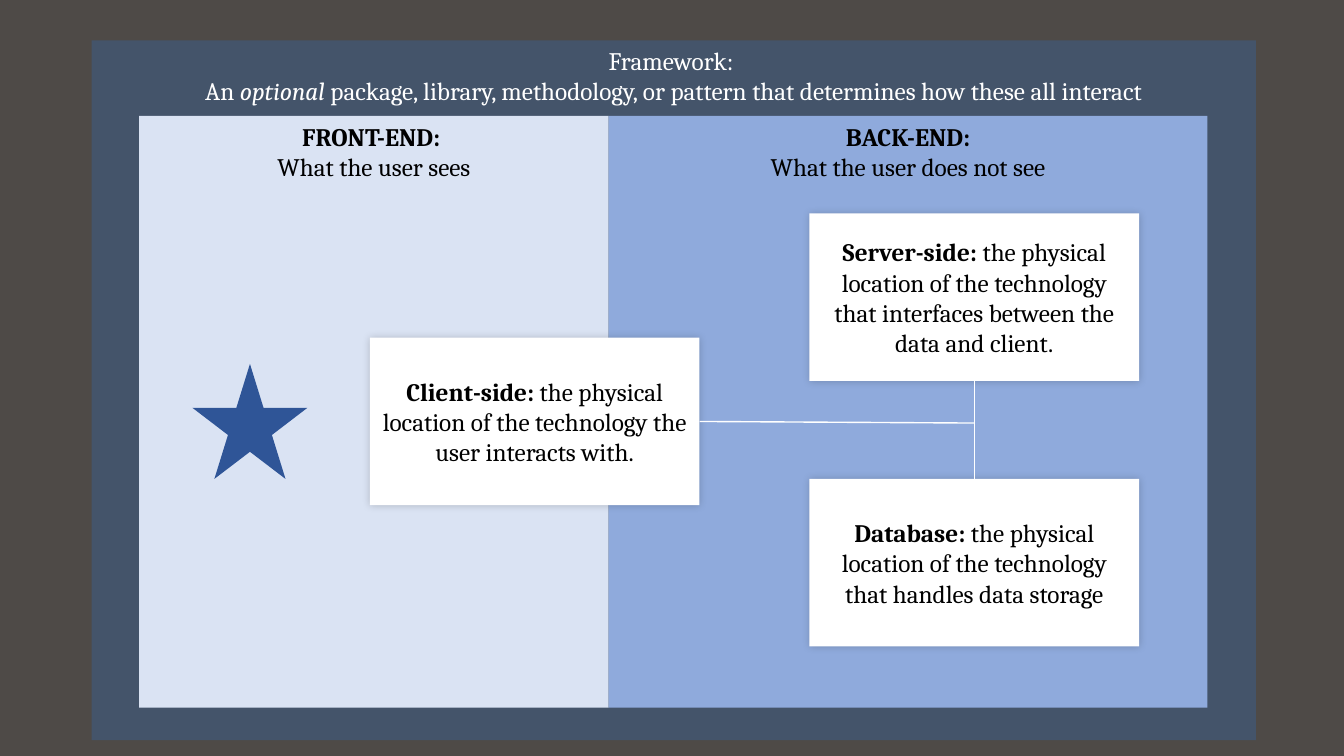
"""Builds the slide on front-end, back-end and the framework around them."""
import collections

import lxml.etree
import pptx
import pptx.dml.color
import pptx.enum.shapes
import pptx.enum.text
import pptx.oxml.ns
import pptx.util

Cm = pptx.util.Cm
RGBColor = pptx.dml.color.RGBColor
SHAPE = pptx.enum.shapes.MSO_SHAPE
ANCHOR = pptx.enum.text.MSO_ANCHOR
qn = pptx.oxml.ns.qn

BACKDROP = RGBColor(0x4E, 0x4A, 0x47)
SLATE = RGBColor(0x44, 0x54, 0x6A)
PALE_BLUE = RGBColor(0xDA, 0xE3, 0xF3)
MID_BLUE = RGBColor(0x8F, 0xAA, 0xDC)
DEEP_BLUE = RGBColor(0x2F, 0x55, 0x97)
WHITE = RGBColor(0xFF, 0xFF, 0xFF)
BLACK = RGBColor(0x00, 0x00, 0x00)

FONT = {"name": "Cambria", "size": pptx.util.Pt(18)}
BOLD, ITALIC, PLAIN = {"bold": True}, {"italic": True}, {}
CARD_WIDTH, CARD_HEIGHT = 8.31, 4.22

Box = collections.namedtuple("Box", "left top width height")


def inside(box, left, top, width, height):
    """Return a box offset from the top left corner of another."""
    return Box(box.left + left, box.top + top, width, height)


def write(shape, paragraphs, color, anchor):
    """Fill a shape with centred paragraphs of (text, format) runs."""
    frame = shape.text_frame
    frame.word_wrap = True
    frame.vertical_anchor = anchor
    for number, runs in enumerate(paragraphs):
        paragraph = frame.add_paragraph() if number else frame.paragraphs[0]
        paragraph.alignment = pptx.enum.text.PP_ALIGN.CENTER
        for text, emphasis in runs:
            run = paragraph.add_run()
            run.text = text
            run.font.color.rgb = color
            for attribute, value in {**FONT, **emphasis}.items():
                setattr(run.font, attribute, value)


def draw(slide, box, fill, preset=SHAPE.RECTANGLE):
    """Add a flat, borderless shape."""
    shape = slide.shapes.add_shape(preset, *map(Cm, box))
    shape.shadow.inherit = False
    shape.fill.solid()
    shape.fill.fore_color.rgb = fill
    shape.line.fill.background()
    return shape


def draw_region(slide, box, fill, color, paragraphs):
    """Add a coloured region with its heading at the top."""
    write(draw(slide, box, fill), paragraphs, color, ANCHOR.TOP)


def draw_card(slide, region, left, top, term, meaning):
    """Add a white definition card with a soft shadow inside a region."""
    card = draw(slide, inside(region, left, top, CARD_WIDTH, CARD_HEIGHT), WHITE)
    write(card, [[(term, BOLD), (meaning, PLAIN)]], BLACK, ANCHOR.MIDDLE)
    effects = card._element.spPr.find(qn("a:effectLst"))
    shadow = lxml.etree.SubElement(
        effects, qn("a:outerShdw"), blurRad=str(pptx.util.Pt(6)), dist="0",
        dir="18900000", algn="tl", rotWithShape="0")
    tint = lxml.etree.SubElement(shadow, qn("a:srgbClr"), val=str(BLACK))
    lxml.etree.SubElement(tint, qn("a:alpha"), val="20000")
    return card


def draw_link(slide, start, end):
    """Add a thin white line between two points."""
    link = slide.shapes.add_connector(
        pptx.enum.shapes.MSO_CONNECTOR.STRAIGHT, *start, *end)
    link.line.color.rgb = WHITE
    link.line.width = pptx.util.Pt(1)
    lxml.etree.SubElement(link._element.spPr, qn("a:effectLst"))
    return link


def draw_framework(slide, box):
    """Lay out the framework, its two ends, the cards and their links."""
    front = inside(box, 1.2, 1.9, 11.83, 14.91)
    back = inside(front, front.width, 0, 15.09, front.height)
    draw_region(slide, box, SLATE, WHITE, [
        [("Framework: ", PLAIN)],
        [("An ", PLAIN), ("optional", ITALIC),
         (" package, library, methodology, or pattern that determines "
          "how these all interact", PLAIN)]])
    draw_region(slide, front, PALE_BLUE, BLACK, [
        [("FRONT-END: ", BOLD)], [("What the user sees", PLAIN)]])
    draw_region(slide, back, MID_BLUE, BLACK, [
        [("BACK-END:", BOLD)], [("What the user does not see", PLAIN)]])
    draw(slide, inside(front, 1.34, 6.25, 2.9, 2.9), DEEP_BLUE, SHAPE.STAR_5_POINT)

    client = draw_card(slide, front, 5.81, 5.59, "Client-side: ",
                       "the physical location of the technology the user "
                       "interacts with.")
    server = draw_card(slide, back, 5.06, 2.46, "Server-side: ",
                       "the physical location of the technology that "
                       "interfaces between the data and client.")
    database = draw_card(slide, back, 5.06, 9.15, "Database: ",
                         "the physical location of the technology that "
                         "handles data storage")

    trunk = server.left + server.width // 2
    client_edge = client.left + client.width, client.top + client.height // 2
    branch = draw_link(slide, client_edge, (trunk, client_edge[1] + Cm(0.04)))
    branch.begin_connect(client, 3)
    stem = draw_link(slide, (trunk, server.top + server.height),
                     (trunk, database.top))
    stem.begin_connect(server, 2)
    stem.end_connect(database, 0)


def main():
    """Create and save the presentation."""
    deck = pptx.Presentation()
    deck.slide_width, deck.slide_height = Cm(33.87), Cm(19.05)
    slide = deck.slides.add_slide(deck.slide_layouts.get_by_name("Blank"))
    slide.background.fill.solid()
    slide.background.fill.fore_color.rgb = BACKDROP
    draw_framework(slide, Box(2.31, 1.02, 29.34, 17.63))
    deck.save("out.pptx")


main()
